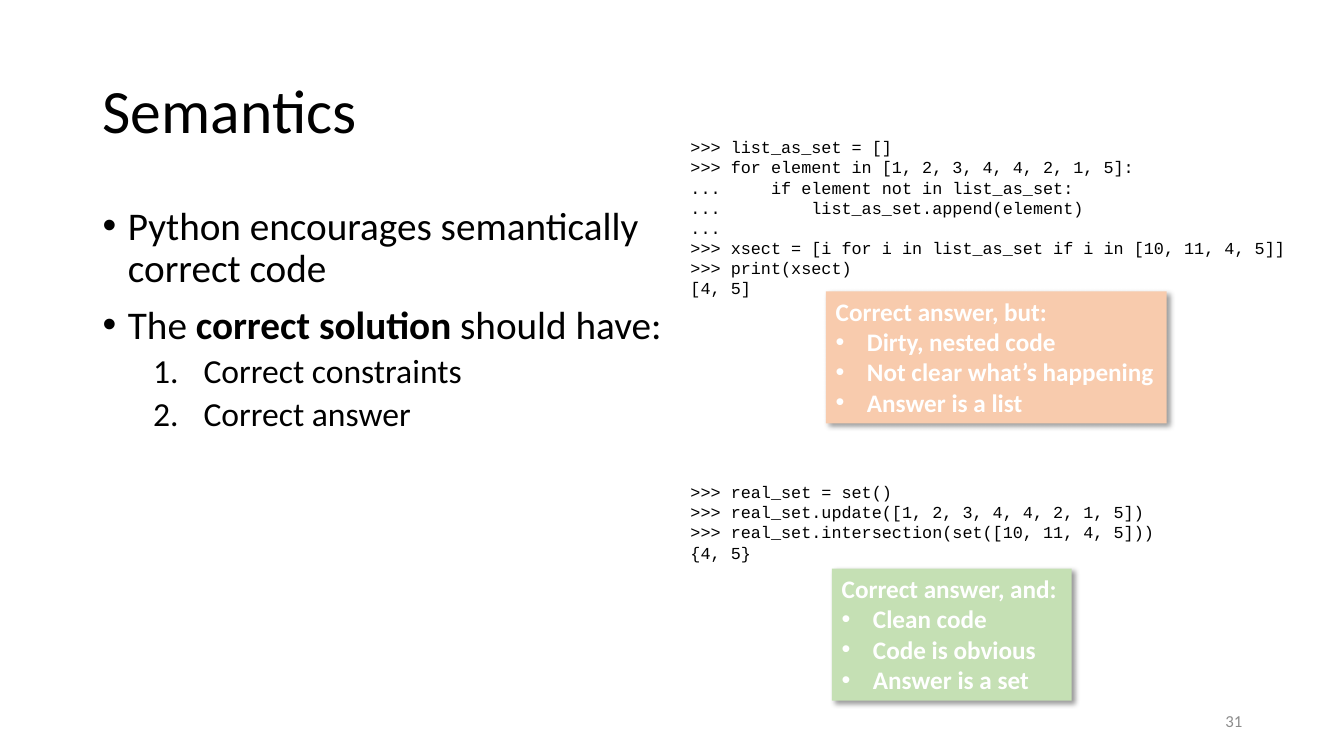
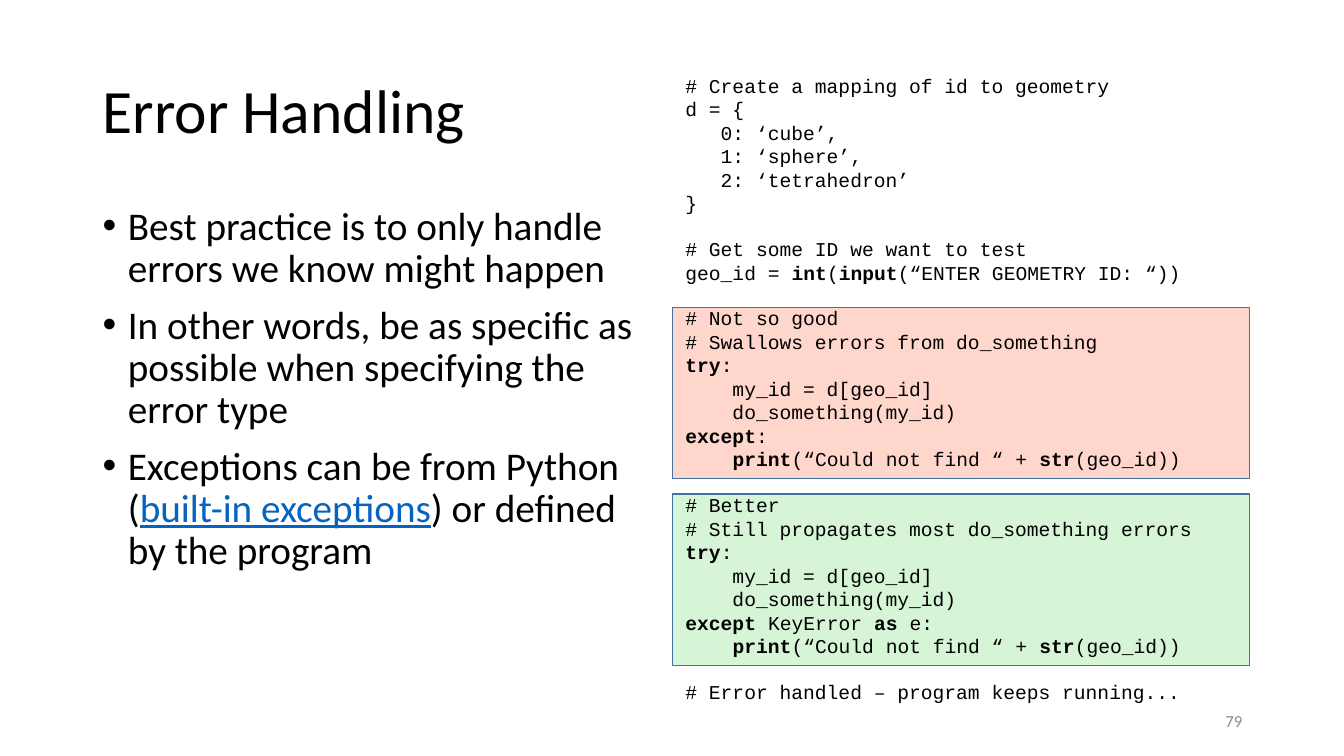
from lxml.etree import SubElement as Sub
from pptx import Presentation
from pptx.dml.color import RGBColor
from pptx.enum.shapes import MSO_SHAPE as Geo
from pptx.enum.text import MSO_ANCHOR as Anchor, PP_ALIGN as Align
from pptx.oxml.ns import qn
from pptx.util import Inches, Pt

# Shared colours and text styles
BLACK, WHITE, GREY, BLUE = "000000", "FFFFFF", "8C8C8C", "0563C1"
PEACH, SAGE, RED, GREEN, EDGE = "F8CBAD", "C5E0B4", "FF3300", "33CC33", "43739E"

TITLE = {"name": "Calibri", "size": Pt(44), "color": BLACK}
BODY = TITLE | {"size": Pt(28)}
STEP = BODY | {"size": Pt(24)}
FOOT = TITLE | {"size": Pt(12), "color": GREY}
NOTE = {"name": "Calibri", "size": Pt(18), "color": WHITE, "bold": True}
CODE = {"name": "Courier New", "color": BLACK}
BOLD = {"bold": True}
LINK = {"color": BLUE, "underline": True}

TIGHT = {"line_spacing": 0.9}
ITEM = TIGHT | {"space_before": Pt(10)}
NEXT = TIGHT | {"space_before": Pt(5)}
LINE = 1.133  # line height of the code font, in ems


def paint(color, hue):
    color.rgb = RGBColor.from_string(hue)


def apply(obj, form):
    for key, val in form.items():
        if key == "color":
            paint(obj.color, val)
        else:
            setattr(obj, key, val)


def place(box):
    return [Inches(n) for n in box]


def write(para, text, font, form=None, mark=BOLD):
    """Fill a paragraph; parts between asterisks take the mark style."""
    apply(para, form or {})
    for i, part in enumerate(text.split("*")):
        if part:
            run = para.add_run()
            run.text = part
            apply(run.font, font | mark if i % 2 else font)


def bullet(para, left, hang, auto=False):
    props = para._p.get_or_add_pPr()
    props.set("marL", str(Inches(left)))
    props.set("indent", str(-Inches(hang)))
    if auto:
        Sub(props, qn("a:buFont"), typeface="+mj-lt")
        Sub(props, qn("a:buAutoNum"), type="arabicPeriod")
    else:
        Sub(props, qn("a:buFont"), typeface="Arial")
        Sub(props, qn("a:buChar"), char="•")


def paras(frame):
    """Yield the first paragraph, then new ones."""
    yield frame.paragraphs[0]
    while True:
        yield frame.add_paragraph()


def frame(slide, box, anchor=Anchor.TOP):
    text = slide.shapes.add_textbox(*place(box)).text_frame
    apply(text, {"word_wrap": True, "vertical_anchor": anchor})
    return text


def rect(slide, box, hue):
    shape = slide.shapes.add_shape(Geo.RECTANGLE, *place(box))
    shape.shadow.inherit = False
    shape.fill.solid()
    paint(shape.fill.fore_color, hue)
    return shape


# Title and page number, alike on every slide
def base(deck, title, page):
    slide = deck.slides.add_slide(deck.slide_layouts[6])
    head = frame(slide, (0.92, 0.4, 11.5, 1.45), Anchor.MIDDLE)
    write(head.paragraphs[0], title, TITLE, TIGHT)
    foot = frame(slide, (9.42, 6.95, 3, 0.4), Anchor.MIDDLE)
    write(foot.paragraphs[0], page, FOOT, {"alignment": Align.RIGHT})
    return slide


# Bulleted list on the left, with optional numbered steps
def body(slide, items, steps=(), mark=BOLD):
    rows = paras(frame(slide, (0.92, 2, 5.75, 4.7)))
    for text in items:
        para = next(rows)
        write(para, text, BODY, ITEM, mark)
        bullet(para, 0.25, 0.25)
    for text in steps:
        para = next(rows)
        para.level = 1
        write(para, text, STEP, NEXT)
        bullet(para, 1, 0.5, auto=True)


# Code listing; blocks are set one line apart
def code(slide, box, size, *blocks):
    rows = paras(frame(slide, box))
    for i, block in enumerate(blocks):
        for j, text in enumerate(block.strip("\n").split("\n")):
            gap = {"space_before": Pt(size * LINE)} if i and not j else {}
            write(next(rows), text, CODE | {"size": Pt(size)}, gap)


# Verdict card with a soft shadow
def card(slide, box, hue, head, items):
    shape = rect(slide, box, hue)
    shape.line.fill.background()
    glow = Sub(shape._element.spPr.find(qn("a:effectLst")), qn("a:outerShdw"),
               blurRad=str(Pt(4)), dist=str(Pt(3)), dir="2700000",
               algn="tl", rotWithShape="0")
    tint = Sub(glow, qn("a:srgbClr"), val=BLACK)
    Sub(tint, qn("a:alpha"), val="40000")
    text = shape.text_frame
    apply(text, {"word_wrap": False, "vertical_anchor": Anchor.TOP})
    rows = paras(text)
    left = {"alignment": Align.LEFT}
    write(next(rows), head, NOTE, left)
    for item in items:
        para = next(rows)
        write(para, item, NOTE, left)
        bullet(para, 0.31, 0.31)


# See-through panel behind a block of code
def panel(slide, box, hue):
    shape = rect(slide, box, hue)
    tint = shape._element.spPr.find(qn("a:solidFill"))[0]
    Sub(tint, qn("a:alpha"), val="20000")
    apply(shape.line, {"color": EDGE, "width": Pt(1)})


LOOP = """
>>> list_as_set = []
>>> for element in [1, 2, 3, 4, 4, 2, 1, 5]:
...     if element not in list_as_set:
...         list_as_set.append(element)
...
>>> xsect = [i for i in list_as_set if i in [10, 11, 4, 5]]
>>> print(xsect)
[4, 5]
"""
SETS = """
>>> real_set = set()
>>> real_set.update([1, 2, 3, 4, 4, 2, 1, 5])
>>> real_set.intersection(set([10, 11, 4, 5]))
{4, 5}
"""
SHAPES = """
# Create a mapping of id to geometry
d = {
   0: ‘cube’,
   1: ‘sphere’,
   2: ‘tetrahedron’
}
"""
ASK = """
# Get some ID we want to test
geo_id = *int*(*input*(“ENTER GEOMETRY ID: “))
"""
TRY = """
# {}
# {}
*try*:
    my_id = d[geo_id]
    do_something(my_id)
{}:
    *print*(“Could not find “ + *str*(geo_id))
"""
BAD = TRY.format("Not so good", "Swallows errors from do_something", "*except*")
GOOD = TRY.format("Better", "Still propagates most do_something errors",
                  "*except *KeyError *as* e")
DONE = "# Error handled – program keeps running..."


def semantics(deck):
    slide = base(deck, "Semantics", "31")
    body(slide, ["Python encourages semantically correct code",
                 "The *correct solution *should have:"],
         ["Correct constraints", "Correct answer"])
    code(slide, (6.75, 1.31, 6.14, 1.92), 12, LOOP)
    card(slide, (8.19, 2.89, 3.38, 1.31), PEACH, "Correct answer, but:",
         ["Dirty, nested code", "Not clear what’s happening",
          "Answer is a list"])
    code(slide, (6.75, 4.73, 5.07, 0.91), 12, SETS)
    card(slide, (8.25, 5.64, 2.38, 1.31), SAGE, "Correct answer, and:",
         ["Clean code", "Code is obvious", "Answer is a set"])


def errors(deck):
    slide = base(deck, "Error Handling", "79")
    for top, hue in ((3.05, RED), (4.9, GREEN)):
        panel(slide, (6.67, top, 5.72, 1.7), hue)
    code(slide, (6.7, 0.68, 6.6, 6.46), 14, SHAPES, ASK, BAD, GOOD, DONE)
    body(slide, ["Best practice is to only handle errors we know might happen",
                 "In other words, be as specific as possible when specifying "
                 "the error type",
                 "Exceptions can be from Python (*built-in exceptions*) or "
                 "defined by the program"], mark=LINK)


def main():
    deck = Presentation()
    apply(deck, {"slide_width": Inches(13.33), "slide_height": Inches(7.5)})
    semantics(deck)
    errors(deck)
    deck.save("out.pptx")


if __name__ == "__main__":
    main()
